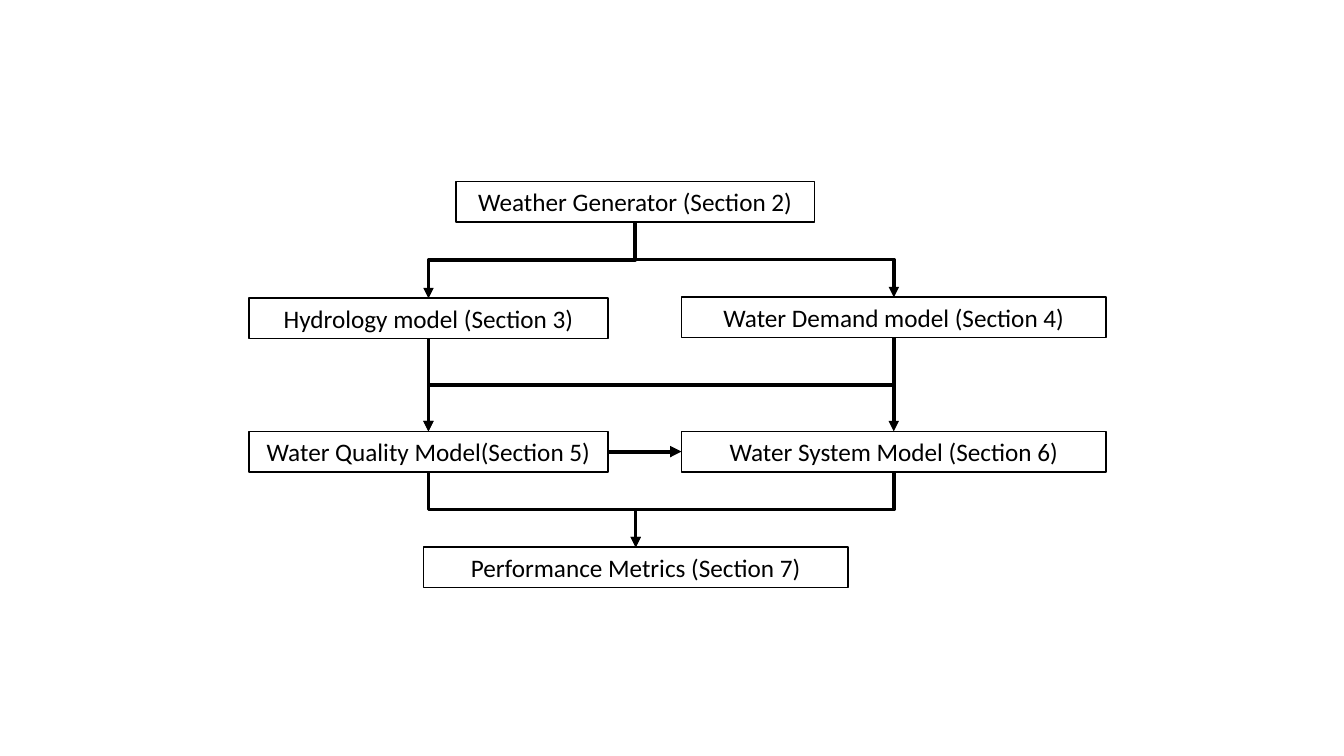
from lxml import etree
from pptx import Presentation
from pptx.dml.color import RGBColor
from pptx.enum.shapes import MSO_CONNECTOR, MSO_SHAPE
from pptx.enum.text import MSO_ANCHOR, MSO_AUTO_SIZE, PP_ALIGN
from pptx.oxml.ns import qn
from pptx.util import Inches, Pt

RECT = MSO_SHAPE.RECTANGLE
ELBOW = MSO_CONNECTOR.ELBOW
STRAIGHT = MSO_CONNECTOR.STRAIGHT
CENTER = PP_ALIGN.CENTER
MIDDLE = MSO_ANCHOR.MIDDLE
GROW = MSO_AUTO_SIZE.SHAPE_TO_FIT_TEXT

COLORS = {"ink": "000000"}
INK = RGBColor.from_string(COLORS["ink"])
FONT = "Calibri"
TOP, LEFT, BOTTOM, RIGHT = range(4)  # connection sites of a rectangle
NARROW, WIDE, HEIGHT = 3.56, 4.21, 0.4

BOXES = {
    "weather": ("Weather Generator (Section 2)", 4.52, 1.8, NARROW),
    "hydro": ("Hydrology model (Section 3)", 2.47, 2.96, NARROW),
    "demand": ("Water Demand model (Section 4)", 6.76, 2.95, WIDE),
    "system": ("Water System Model (Section 6)", 6.76, 4.28, WIDE),
    "metrics": ("Performance Metrics (Section 7)", 4.2, 5.43, WIDE),
    "quality": ("Water Quality Model(Section 5)", 2.47, 4.28, NARROW),
}
FLOWS = [
    ("weather", "hydro"),
    ("weather", "demand"),
    ("hydro", "quality"),
    ("hydro", "system"),
    ("demand", "quality"),
    ("quality", "metrics"),
    ("system", "metrics"),
]


def add_box(slide, text, left, top, width):
    box = slide.shapes.add_shape(
        RECT, Inches(left), Inches(top), Inches(width), Inches(HEIGHT))
    box.shadow.inherit = False
    box.fill.background()
    box.line.color.rgb = INK
    box.line.width = Pt(1.25)
    frame = box.text_frame
    frame.word_wrap = True
    frame.auto_size = GROW
    frame.vertical_anchor = MIDDLE
    para = frame.paragraphs[0]
    para.alignment = CENTER
    run = para.add_run()
    run.text = text
    run.font.name = FONT
    run.font.size = Pt(18)
    run.font.color.rgb = INK
    return box


def add_link(slide, kind, start, end, sites, weight):
    """Join two boxes with an arrow glued to the given sites."""
    link = slide.shapes.add_connector(kind, 0, 0, 0, 0)
    link.begin_connect(start, sites[0])
    link.end_connect(end, sites[1])
    link.line.color.rgb = INK
    link.line.width = Pt(weight)
    line = link.line._get_or_add_ln()
    etree.SubElement(line, qn("a:tailEnd"), type="triangle")
    etree.SubElement(link._element.spPr, qn("a:effectLst"))
    return link


def add_flow(slide, start, end):
    """Draw an elbow arrow that leaves downward and enters from above."""
    link = add_link(slide, ELBOW, start, end, (BOTTOM, TOP), 2.5)
    x1, y1 = start.left + start.width // 2, start.top + start.height
    x2, y2 = end.left + end.width // 2, end.top
    # The preset elbow starts sideways, so its frame is turned a quarter.
    long, wide = y2 - y1, abs(x2 - x1)
    frame = link._element.spPr.xfrm
    frame.off.x = (x1 + x2 - long) // 2
    frame.off.y = (y1 + y2 - wide) // 2
    frame.ext.cx, frame.ext.cy = long, wide
    frame.flipH, frame.flipV = x2 >= x1, False
    frame.rot = 270 if x2 >= x1 else 90


def main():
    deck = Presentation()
    deck.slide_width, deck.slide_height = Inches(13.33), Inches(7.5)
    slide = deck.slides.add_slide(deck.slide_layouts[6])
    boxes = {name: add_box(slide, *data) for name, data in BOXES.items()}
    for start, end in FLOWS:
        add_flow(slide, boxes[start], boxes[end])
    add_link(slide, STRAIGHT, boxes["quality"], boxes["system"],
             (RIGHT, LEFT), 2.75)
    deck.save("out.pptx")


if __name__ == "__main__":
    main()
